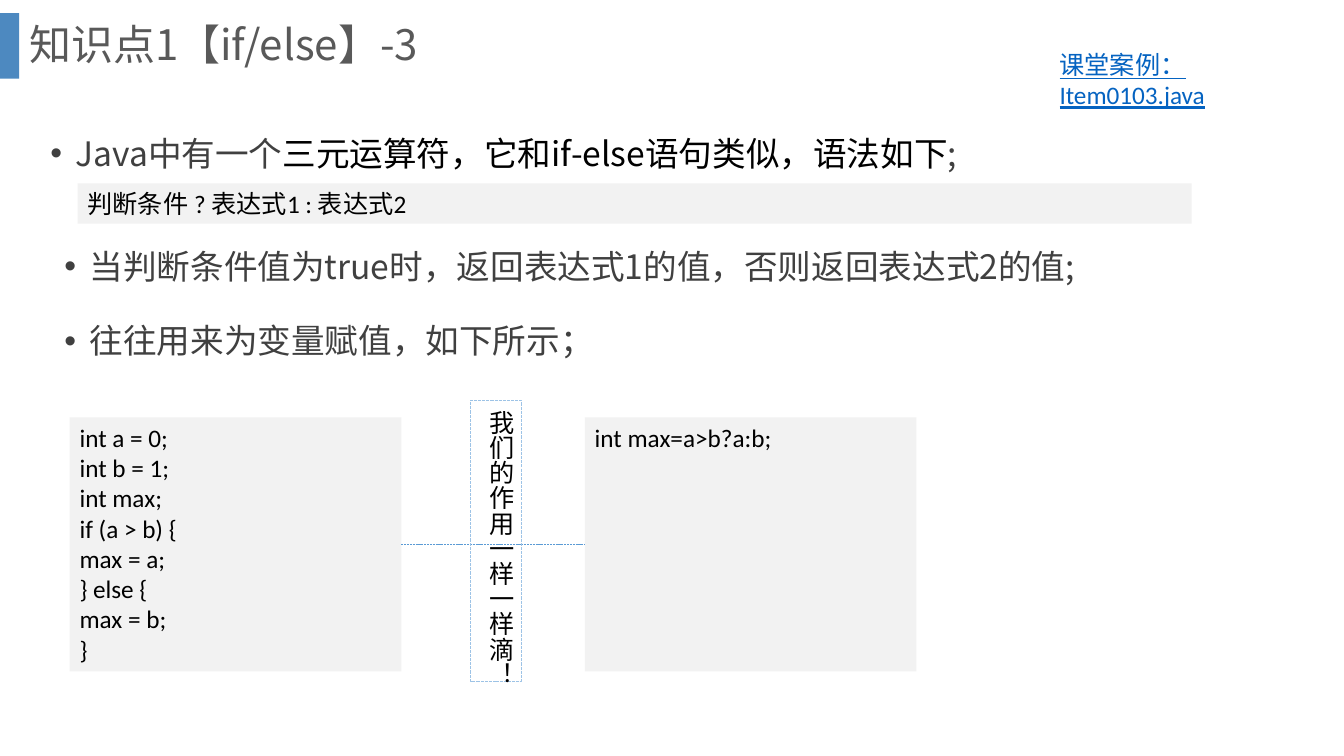
from lxml import etree
from pptx import Presentation
from pptx.dml.color import RGBColor
from pptx.enum.dml import MSO_LINE
from pptx.enum.shapes import MSO_CONNECTOR, MSO_SHAPE
from pptx.enum.text import MSO_ANCHOR, PP_ALIGN
from pptx.oxml.ns import qn
from pptx.util import Inches, Pt

RECT, STRAIGHT = MSO_SHAPE.RECTANGLE, MSO_CONNECTOR.STRAIGHT
TOP, MIDDLE, LEFT = MSO_ANCHOR.TOP, MSO_ANCHOR.MIDDLE, PP_ALIGN.LEFT
DASH = MSO_LINE.SQUARE_DOT
SANS, CODE = "Noto Sans CJK SC", "Calibri"
GREY, BLACK, PANEL = "404040", "000000", "F2F2F2"


def color(value):
    return RGBColor.from_string(value)


def add_rect(slide, box, fill=None, line=None):
    sp = slide.shapes.add_shape(RECT, *map(Inches, box))
    sp.shadow.inherit = False
    if fill:
        sp.fill.solid()
        sp.fill.fore_color.rgb = color(fill)
    else:
        sp.fill.background()
    if line:
        sp.line.color.rgb = color(line)
        sp.line.width = Pt(0.75)
        sp.line.dash_style = DASH
    else:
        sp.line.fill.background()
    return sp


def add_textbox(slide, box):
    return slide.shapes.add_textbox(*map(Inches, box))


def write(sp, paragraphs, size=18, font=CODE, fill=BLACK, anchor=TOP,
          spacing=None, bullet=False, underline=None):
    """Each paragraph is a string or a list of (text, colour) runs."""
    tf = sp.text_frame
    tf.word_wrap = True
    tf.vertical_anchor = anchor
    for i, content in enumerate(paragraphs):
        p = tf.paragraphs[0] if i == 0 else tf.add_paragraph()
        p.alignment = LEFT
        if spacing:
            p.line_spacing = spacing
        if bullet:
            p.space_before = Pt(10)
            pPr = p._p.get_or_add_pPr()
            pPr.set("marL", str(Inches(0.25)))
            pPr.set("indent", str(-Inches(0.25)))
            etree.SubElement(pPr, qn("a:buFont"), typeface="Arial")
            etree.SubElement(pPr, qn("a:buChar"), char="•")
        runs = [(content, fill)] if isinstance(content, str) else content
        for text, run_color in runs:
            r = p.add_run()
            r.text = text
            r.font.size = Pt(size)
            r.font.name = font
            r.font.underline = underline
            r.font.color.rgb = color(run_color)
            etree.SubElement(r._r.get_or_add_rPr(), qn("a:ea"), typeface=SANS)


def add_header(slide, x, y, w, h):
    # Accent bar, translucent
    bar = add_rect(slide, (x, y + 0.13, 0.19, 0.65), "2E75B6")
    clr = bar.fill._xPr.find(".//" + qn("a:srgbClr"))
    etree.SubElement(clr, qn("a:alpha"), val="85000")
    # Title and example file
    write(add_textbox(slide, (x + 0.19, y, w - 0.67, h)), ["知识点1【if/else】-3"],
          size=30, font=SANS, fill="595959", anchor=MIDDLE, spacing=0.9)
    write(add_textbox(slide, (x + 10.41, y + 0.44, 2.28, 0.71)),
          ["课堂案例：Item0103.java"], fill="0563C1", underline=True)


def add_explanation(slide, x, y, w):
    bullets = dict(size=24, font=SANS, fill=GREY, spacing=1.5, bullet=True)
    write(add_textbox(slide, (x, y, w, 0.67)),
          [[("Java中有一个", GREY),
            ("三元运算符，它和if-else语句类似，语法如下", BLACK),
            (";", GREY)]], **bullets)
    # Syntax strip
    write(add_rect(slide, (x + 0.37, y + 0.75, w - 1, 0.4), PANEL),
          ["判断条件 ? 表达式1 : 表达式2"])
    write(add_textbox(slide, (x + 0.14, y + 1.12, w, 1.6)),
          ["当判断条件值为true时，返回表达式1的值，否则返回表达式2的值;",
           "往往用来为变量赋值，如下所示；"], **bullets)


def add_comparison(slide, x, y, w, h):
    panel_w = 3.29
    # Code panels at both ends of the box
    long_form = add_rect(slide, (x, y, panel_w, h), PANEL)
    write(long_form, ["int a = 0;", "int b = 1;", "int max;", "if (a > b) {",
                      "max = a;", "} else {", "max = b;", "}"])
    short_form = add_rect(slide, (x + w - panel_w, y, panel_w, h), PANEL)
    write(short_form, ["int max=a>b?a:b;"])
    # Dotted link between the panels
    link = slide.shapes.add_connector(STRAIGHT, 0, 0, 0, 0)
    link.begin_connect(long_form, 3)
    link.end_connect(short_form, 1)
    link.line.color.rgb = color("5B9BD5")
    link.line.width = Pt(0.5)
    link.line.dash_style = DASH
    etree.SubElement(link._element.spPr, qn("a:effectLst"))
    # Vertical remark
    remark = add_rect(slide, (x + 3.98, y - 0.17, 0.5, h + 0.27), line="9DC3E6")
    write(remark, ["我们的作用一样一样滴！"])
    remark.text_frame._txBody.bodyPr.set("vert", "eaVert")


def main():
    prs = Presentation()
    prs.slide_width, prs.slide_height = Inches(13.33), Inches(7.5)
    slide = prs.slides.add_slide(prs.slide_layouts[6])
    add_header(slide, 0, 0, 13.33, 0.93)
    add_explanation(slide, 0.4, 1.07, 12.05)
    add_comparison(slide, 0.69, 4.14, 8.4, 2.52)
    prs.save("out.pptx")


if __name__ == "__main__":
    main()
